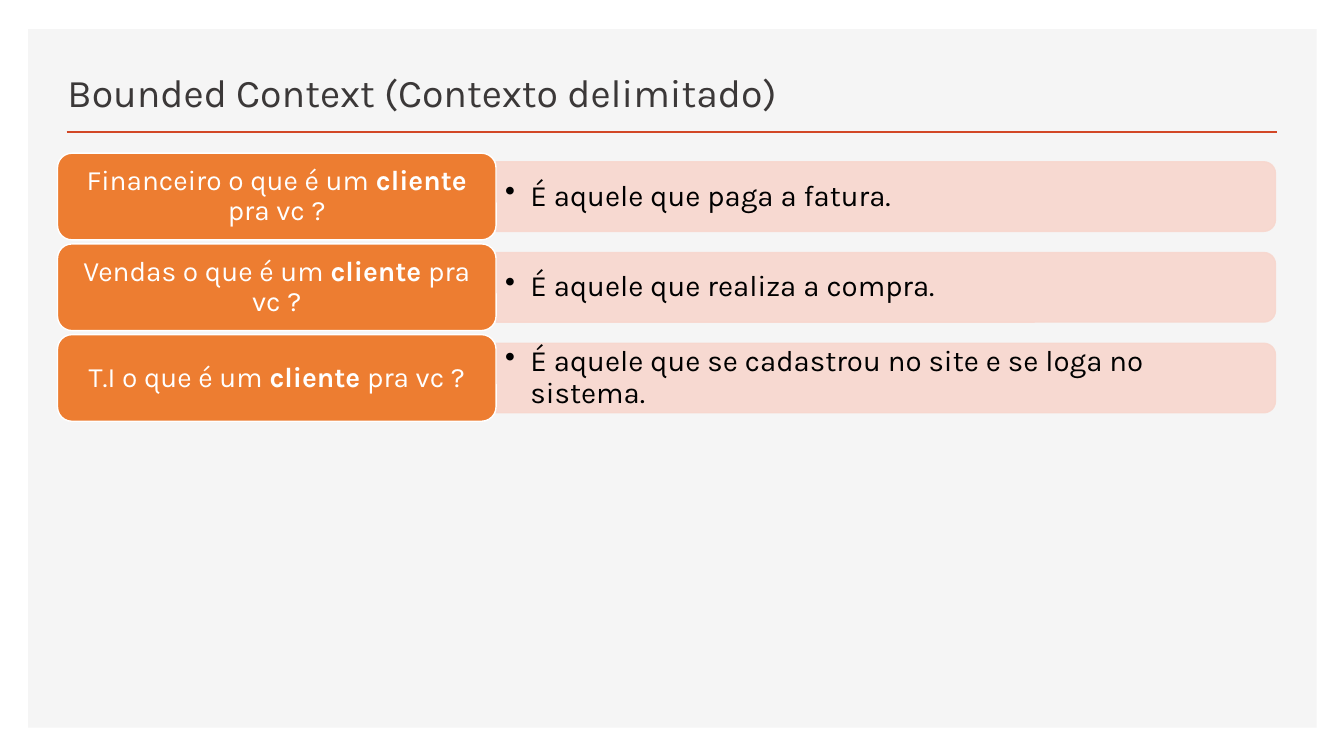
"""Builds a slide on bounded contexts: what a customer means to each department."""
from dataclasses import dataclass

from lxml.etree import SubElement
from pptx import Presentation
from pptx.dml.color import RGBColor
from pptx.enum.shapes import MSO_CONNECTOR, MSO_SHAPE
from pptx.enum.text import MSO_ANCHOR, PP_ALIGN
from pptx.oxml.ns import qn
from pptx.util import Inches, Pt


@dataclass(frozen=True)
class Theme:
    font: str = "Karla"
    panel: str = "F5F5F5"
    rule: str = "D24726"
    title: str = "3B3838"
    question: str = "ED7D31"
    answer: str = "F8D7CE"
    light: str = "FFFFFF"
    dark: str = "000000"
    title_size: int = 28
    question_size: int = 20
    answer_size: int = 21


theme = Theme()


def add_box(kind, left, top, width, height, fill, line=None):
    box = page.shapes.add_shape(kind, Inches(left), Inches(top), Inches(width), Inches(height))
    box.shadow.inherit = False
    box.fill.solid()
    box.fill.fore_color.rgb = RGBColor.from_string(fill)
    if line:
        box.line.color.rgb = RGBColor.from_string(line)
        box.line.width = Pt(1)
    else:
        box.line.fill.background()
    return box


def write(box, spans, size, color, frame_format, para_format):
    frame = box.text_frame
    for name, value in frame_format.items():
        setattr(frame, name, value)
    para = frame.paragraphs[0]
    for name, value in para_format.items():
        setattr(para, name, value)
    for text, bold in spans:
        span = para.add_run()
        span.text = text
        span.font.color.rgb = RGBColor.from_string(color)
        for name, value in {"name": theme.font, "size": Pt(size), "bold": bold}.items():
            setattr(span.font, name, value)
    return para


deck = Presentation()
deck.slide_width, deck.slide_height = Inches(13.33), Inches(7.5)
page = deck.slides.add_slide(deck.slide_layouts[6])

add_box(MSO_SHAPE.RECTANGLE, 0.28, 0.29, 12.78, 6.93, theme.panel)
rule = page.shapes.add_connector(
    MSO_CONNECTOR.STRAIGHT, Inches(0.66), Inches(1.31), Inches(12.67), Inches(1.31))
rule.line.color.rgb = RGBColor.from_string(theme.rule)
rule.line.width = Pt(2)
SubElement(rule._element.spPr, qn("a:effectLst"))

title = page.shapes.add_textbox(Inches(0.57), Inches(0.49), Inches(7.52), Inches(0.7))
write(title, [("Bounded Context (Contexto delimitado)", False)], theme.title_size, theme.title,
      {"word_wrap": True, "vertical_anchor": MSO_ANCHOR.BOTTOM}, {"alignment": PP_ALIGN.LEFT})

rows = [
    ("Financeiro", "É aquele que paga a fatura."),
    ("Vendas", "É aquele que realiza a compra."),
    ("T.I", "É aquele que se cadastrou no site e se loga no sistema."),
]
first_top, row_pitch = 1.52, 0.9
question_left, question_width, question_height = 0.57, 4.35, 0.86
answer_left, answer_length, answer_height = 4.92, 7.73, 0.69
text_width, text_height = 7.69, 0.62
middle = {"word_wrap": True, "vertical_anchor": MSO_ANCHOR.MIDDLE,
          "margin_top": Inches(0.04), "margin_bottom": Inches(0.04)}
question_frame = middle | {"margin_left": Inches(0.08), "margin_right": Inches(0.08)}
answer_frame = middle | {"margin_left": Inches(0.09), "margin_right": Inches(0.09)}

for index, (department, answer) in enumerate(rows):
    top = first_top + index * row_pitch
    center = top + question_height / 2

    band = add_box(MSO_SHAPE.ROUND_2_SAME_RECTANGLE,
                   answer_left + (answer_length - answer_height) / 2, center - answer_length / 2,
                   answer_height, answer_length, theme.answer, theme.answer)
    band.rotation = 90
    for color in band._element.spPr.iter(qn("a:srgbClr")):
        SubElement(color, qn("a:alpha"), val="90000")

    reply = page.shapes.add_textbox(Inches(answer_left), Inches(center - text_height / 2),
                                    Inches(text_width), Inches(text_height))
    para = write(reply, [(answer, False)], theme.answer_size, theme.dark, answer_frame,
                 {"alignment": PP_ALIGN.LEFT, "line_spacing": 0.9})
    properties = para._p.get_or_add_pPr()
    properties.set("marL", str(Inches(0.25)))
    properties.set("indent", str(-Inches(0.25)))
    SubElement(properties, qn("a:buChar"), char="•")

    question = add_box(MSO_SHAPE.ROUNDED_RECTANGLE, question_left, top,
                       question_width, question_height, theme.question, theme.light)
    write(question, [(f"{department} o que é um ", False), ("cliente", True), (" pra vc ?", False)],
          theme.question_size, theme.light, question_frame,
          {"alignment": PP_ALIGN.CENTER, "line_spacing": 0.9})

deck.save("out.pptx")
